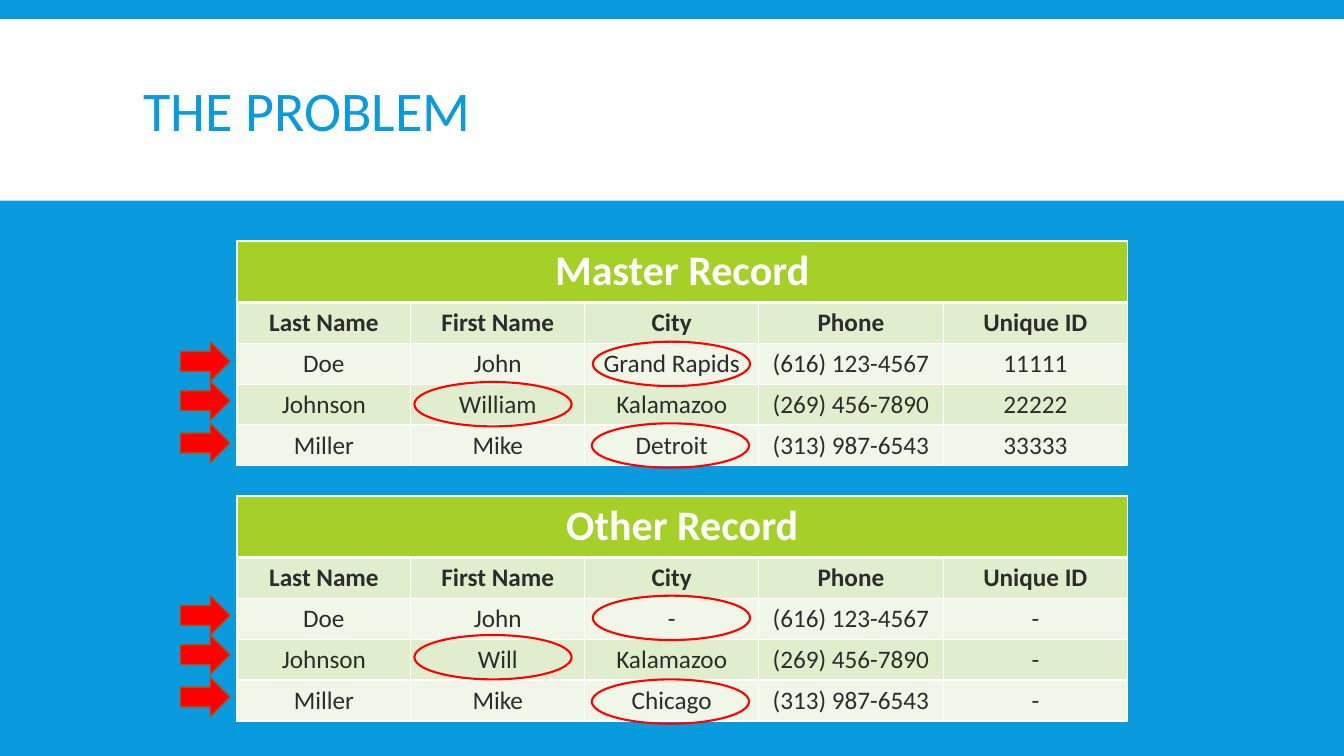
from dataclasses import dataclass

import lxml.etree
import pptx
import pptx.dml.color
import pptx.enum.shapes
import pptx.enum.text
import pptx.oxml.ns
import pptx.util

Inches = pptx.util.Inches
Pt = pptx.util.Pt
Shapes = pptx.enum.shapes.MSO_SHAPE
Anchor = pptx.enum.text.MSO_ANCHOR
Align = pptx.enum.text.PP_ALIGN
qn = pptx.oxml.ns.qn


@dataclass(frozen=True)
class Theme:
    font: str = "Calibri"
    blue: str = "099BDD"
    white: str = "FFFFFF"
    green: str = "A5D028"
    band_dark: str = "E1EECD"
    band_light: str = "F0F7E8"
    ink: str = "2C2C2C"
    red: str = "FF0000"
    arrow_edge: str = "B54B11"
    title_size: int = 40
    record_size: int = 30
    body_size: int = 18


def rgb(value):
    return pptx.dml.color.RGBColor.from_string(value)


class SlideBuilder:
    def __init__(self, slide, theme):
        self.slide = slide
        self.theme = theme

    def background(self, color):
        fill = self.slide.background.fill
        fill.solid()
        fill.fore_color.rgb = rgb(color)

    def run(self, paragraph, text, size, color, bold=False):
        run = paragraph.add_run()
        run.text = text
        font = run.font
        font.name, font.size, font.bold = self.theme.font, Pt(size), bold
        font.color.rgb = rgb(color)

    def title(self, text, left, top, width, height):
        """Place the title in front of everything drawn so far."""
        title = self.slide.shapes.title
        title.left, title.top = Inches(left), Inches(top)
        title.width, title.height = Inches(width), Inches(height)
        title.element.getparent().append(title.element)
        frame = title.text_frame
        frame.word_wrap = True
        frame.vertical_anchor = Anchor.MIDDLE
        paragraph = frame.paragraphs[0]
        paragraph.alignment = Align.LEFT
        paragraph.line_spacing = 0.85
        self.run(paragraph, text, self.theme.title_size, self.theme.blue)

    def shape(self, parent, kind, box, fill=None, line=None, weight=1):
        shape = parent.shapes.add_shape(kind, *map(Inches, box))
        shape.shadow.inherit = False
        if fill:
            shape.fill.solid()
            shape.fill.fore_color.rgb = rgb(fill)
        else:
            shape.fill.background()
        if line:
            shape.line.color.rgb = rgb(line)
            shape.line.width = Pt(weight)
        else:
            shape.line.fill.background()

    def cell_borders(self, cell, widths):
        """Draw white borders; widths maps each side (L, R, T, B) to points."""
        properties = cell._tc.get_or_add_tcPr()
        for side, width in widths.items():
            line = lxml.etree.SubElement(properties, qn(f"a:ln{side}"), w=str(Pt(width)))
            fill = lxml.etree.SubElement(line, qn("a:solidFill"))
            lxml.etree.SubElement(fill, qn("a:srgbClr"), val=self.theme.white)

    def record_table(self, name, rows, left, top, column_widths, row_heights):
        theme = self.theme
        column_count = len(column_widths)
        cells = [[name] + [""] * (column_count - 1)] + rows
        table = self.slide.shapes.add_table(
            len(cells), column_count, Inches(left), Inches(top),
            Inches(sum(column_widths)), Inches(sum(row_heights))).table
        for column, width in zip(table.columns, column_widths):
            column.width = Inches(width)
        for row, height in zip(table.rows, row_heights):
            row.height = Inches(height)
        table.cell(0, 0).merge(table.cell(0, column_count - 1))
        for r, row in enumerate(cells):
            if r == 0:
                fill, color, size = theme.green, theme.white, theme.record_size
            else:
                fill = theme.band_dark if r % 2 else theme.band_light
                color, size = theme.ink, theme.body_size
            for c, text in enumerate(row):
                cell = table.cell(r, c)
                self.cell_borders(cell, {"L": 1, "R": 1, "T": 3 if r == 1 else 1,
                                         "B": 3 if r == 0 else 1})
                cell.fill.solid()
                cell.fill.fore_color.rgb = rgb(fill)
                paragraph = cell.text_frame.paragraphs[0]
                paragraph.alignment = Align.CENTER
                if text:
                    self.run(paragraph, text, size, color, bold=r < 2)

    def mismatch(self, ring_left, ring_tops, arrow_tops):
        """Group the rings and arrows that mark one person in both records."""
        theme = self.theme
        group = self.slide.shapes.add_group_shape()
        for top in ring_tops:
            self.shape(group, Shapes.OVAL, (ring_left, top, 1.56, 0.44),
                       line=theme.red, weight=1.5)
        for top in arrow_tops:
            self.shape(group, Shapes.RIGHT_ARROW, (1.79, top, 0.49, 0.39),
                       fill=theme.red, line=theme.arrow_edge)


HEADINGS = ["Last Name", "First Name", "City", "Phone", "Unique ID"]
MASTER = [
    HEADINGS,
    ["Doe", "John", "Grand Rapids", "(616) 123-4567", "11111"],
    ["Johnson", "William", "Kalamazoo", "(269) 456-7890", "22222"],
    ["Miller", "Mike", "Detroit", "(313) 987-6543", "33333"],
]
OTHER = [
    HEADINGS,
    ["Doe", "John", "-", "(616) 123-4567", "-"],
    ["Johnson", "Will", "Kalamazoo", "(269) 456-7890", "-"],
    ["Miller", "Mike", "Chicago", "(313) 987-6543", "-"],
]
COLUMN_WIDTHS = [1.725] * 3 + [1.83] * 2
ROW_HEIGHTS = [0.61] + [0.405] * 4
MISMATCHES = [
    (5.88, (3.39, 5.91), (3.39, 5.91)),
    (4.11, (3.79, 6.3), (3.78, 6.3)),
    (5.87, (4.2, 6.74), (4.2, 6.72)),
]


def main():
    presentation = pptx.Presentation()
    presentation.slide_width = Inches(13.33)
    presentation.slide_height = Inches(7.5)
    theme = Theme()
    builder = SlideBuilder(
        presentation.slides.add_slide(presentation.slide_layouts[5]), theme)
    builder.background(theme.blue)
    builder.shape(builder.slide, Shapes.RECTANGLE, (0, 0.19, 13.33, 1.8), fill=theme.white)
    builder.title("THE PROBLEM", 1.32, 0.31, 10.7, 1.65)
    for name, rows, top in (("Master Record", MASTER, 2.39), ("Other Record", OTHER, 4.92)):
        builder.record_table(name, rows, 2.35, top, COLUMN_WIDTHS, ROW_HEIGHTS)
    for ring_left, ring_tops, arrow_tops in MISMATCHES:
        builder.mismatch(ring_left, ring_tops, arrow_tops)
    presentation.save("out.pptx")


if __name__ == "__main__":
    main()
